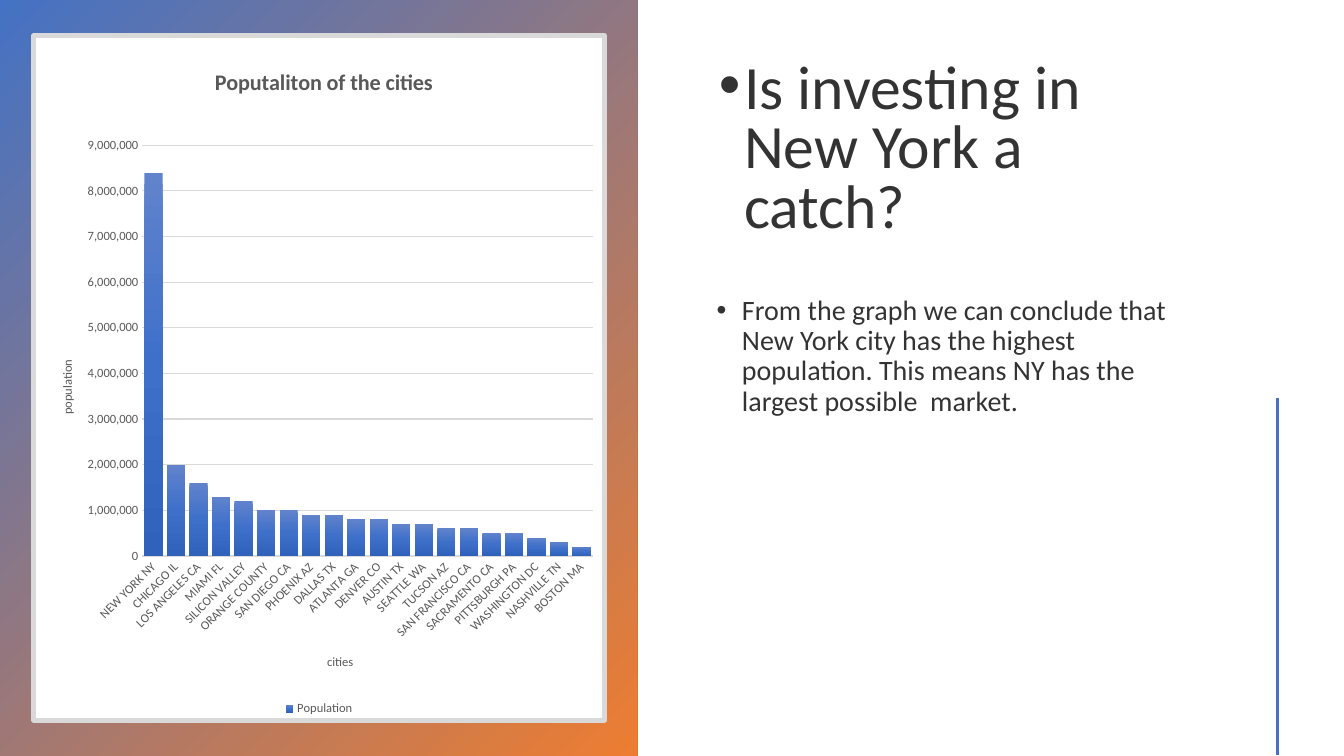
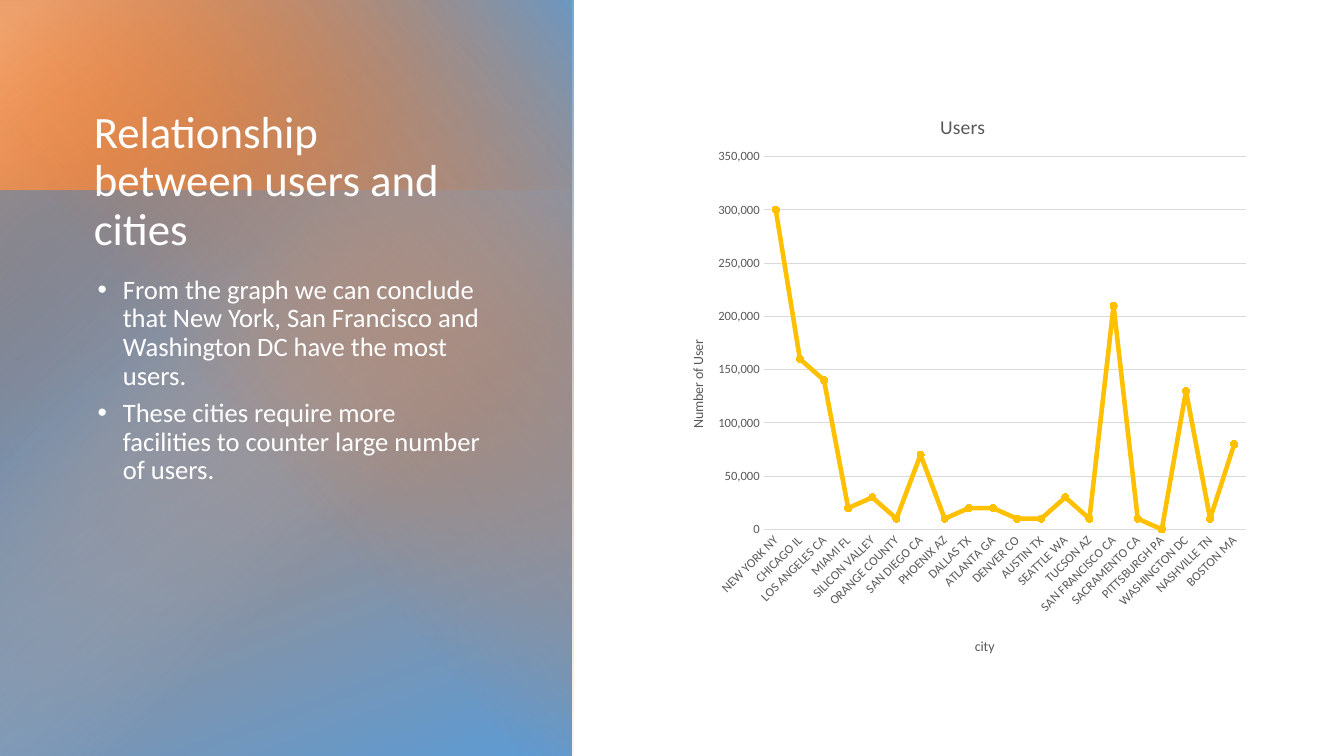
import dataclasses
import typing

import pptx
import pptx.chart.data
import pptx.dml.color
import pptx.enum.chart
import pptx.enum.shapes
import pptx.enum.text
import pptx.oxml
import pptx.oxml.ns
import pptx.util

Inches = pptx.util.Inches
Pt = pptx.util.Pt
qn = pptx.oxml.ns.qn
KIND = pptx.enum.chart.XL_CHART_TYPE

# Shared look
FONT = "Calibri"
BLUE, ORANGE, SKY, GOLD = "4472C4", "ED7D31", "5B9BD5", "FFC000"
INK, GREY, PALE, WHITE = "333333", "595959", "D9D9D9", "FFFFFF"

Box = tuple[float, float, float, float]
Spot = tuple[float, float]

CITIES = [
    "NEW YORK NY", "CHICAGO IL", "LOS ANGELES CA", "MIAMI FL", "SILICON VALLEY",
    "ORANGE COUNTY", "SAN DIEGO CA", "PHOENIX AZ", "DALLAS TX", "ATLANTA GA",
    "DENVER CO", "AUSTIN TX", "SEATTLE WA", "TUCSON AZ", "SAN FRANCISCO CA",
    "SACRAMENTO CA", "PITTSBURGH PA", "WASHINGTON DC", "NASHVILLE TN", "BOSTON MA",
]


class Stop(typing.NamedTuple):
    pos: int
    color: str
    alpha: int = 100


@dataclasses.dataclass
class Panel:
    box: Box
    stops: list[Stop]
    angle: int | None  # None gives a circle from the top left corner
    turn: int = 0


@dataclasses.dataclass
class Label:
    text: str
    spot: Spot  # share of the chart's width and height
    size: int
    bold: bool = False


@dataclasses.dataclass
class Graph:
    kind: typing.Any
    box: Box
    name: str
    values: list[int]
    top: int
    step: int
    plot: Box  # share of the chart's width and height
    title: Label
    cat: Label
    val: Label
    base: float  # width of the category axis line


COLUMNS = Graph(
    KIND.COLUMN_CLUSTERED, (0.31, 0.33, 5.71, 6.84), "Population",
    [n * 100_000 for n in (84, 20, 16, 13, 12, 10, 10, 9, 9, 8,
                           8, 7, 7, 6, 6, 5, 5, 4, 3, 2)],
    9_000_000, 1_000_000, (0.19, 0.16, 0.79, 0.6),
    Label("Poputaliton of the cities", (0.31, 0.04), 16, True),
    Label("cities", (0.51, 0.9), 9),
    Label("population", (0.04, 0.47), 9), 1,
)
LINES = Graph(
    KIND.LINE_MARKERS, (6.57, 0.86, 5.91, 5.78), "Users",
    [n * 10_000 for n in (30, 16, 14, 2, 3, 1, 7, 1, 2, 2,
                          1, 1, 3, 1, 21, 1, 0, 13, 1, 8)],
    350_000, 50_000, (0.17, 0.12, 0.81, 0.64),
    Label("Users", (0.46, 0.04), 14),
    Label("city", (0.52, 0.94), 10),
    Label("Number of User", (0.04, 0.43), 10), 0.75,
)

FRAME = Panel((0, 0, 6.32, 7.5), [Stop(0, BLUE), Stop(100, ORANGE)], 45)
LAYERS = [
    Panel((-0.02, 0, 5.69, 7.53), [Stop(7, ORANGE), Stop(100, SKY)], 70),
    Panel((-0.02, 1.89, 5.69, 5.63),
          [Stop(0, "2E75B6"), Stop(60, "9DC3E6", 0)], None, 180),
    Panel((-0.02, 0.01, 4.19, 7.52),
          [Stop(3, "F4B183", 78), Stop(42, ORANGE, 0)], 50),
    Panel((-0.92, 0.91, 7.52, 5.69),
          [Stop(0, SKY, 86), Stop(57, ORANGE, 0)], 230, 270),
]


def paint(color: str) -> pptx.dml.color.RGBColor:
    return pptx.dml.color.RGBColor.from_string(color)


def place(box: Box) -> list[int]:
    return [Inches(n) for n in box]


def node(tag: str, inner: str = "", extra: str = "") -> typing.Any:
    spaces = pptx.oxml.ns.nsdecls("a", "c")
    return pptx.oxml.parse_xml(f"<{tag} {spaces} {extra}>{inner}</{tag}>")


def blend(props: typing.Any, stops: list[Stop], angle: int | None) -> None:
    """Swap the solid fill for a gradient."""
    marks = "".join(
        f'<a:gs pos="{s.pos * 1000}"><a:srgbClr val="{s.color}">'
        f'<a:alpha val="{s.alpha * 1000}"/></a:srgbClr></a:gs>' for s in stops)
    way = (f'<a:lin ang="{angle * 60000}" scaled="0"/>' if angle is not None else
           '<a:path path="circle"><a:fillToRect r="100000" b="100000"/></a:path>')
    new = node("a:gradFill", f"<a:gsLst>{marks}</a:gsLst>{way}", 'rotWithShape="1"')
    props.replace(props.find(qn("a:solidFill")), new)


def style(font: typing.Any, size: float, color: str, bold: bool = False) -> None:
    font.name, font.size, font.bold = FONT, Pt(size), bold
    font.color.rgb = paint(color)


def write(shape: typing.Any, *texts: str, box: Box, size: float, color: str,
          indent: float = 0, space: float = 0.9, low: bool = False) -> None:
    """Place a text shape; an indent turns its paragraphs into bullets."""
    shape.left, shape.top, shape.width, shape.height = place(box)
    frame = shape.text_frame
    frame.word_wrap = True
    frame.auto_size = pptx.enum.text.MSO_AUTO_SIZE.NONE
    anchor = pptx.enum.text.MSO_ANCHOR
    frame.vertical_anchor = anchor.BOTTOM if low else anchor.TOP
    for i, text in enumerate(texts):
        para = frame.add_paragraph() if i else frame.paragraphs[0]
        para.alignment = pptx.enum.text.PP_ALIGN.LEFT
        para.line_spacing = space
        para.space_before, para.space_after = Pt(0), Pt(6)
        run = para.add_run()
        run.text = text
        style(run.font, size, color)
        if indent:
            props = para._p.get_or_add_pPr()
            props.set("marL", str(Inches(indent)))
            props.set("indent", str(Inches(-0.25)))
            props.append(node("a:buFont", extra='typeface="Arial"'))
            props.append(node("a:buChar", extra='char="•"'))


def head(slide: typing.Any, text: str, **form: typing.Any) -> None:
    """Fill the title and bring it to the front."""
    title = slide.shapes.title
    write(title, text, low=True, **form)
    title.element.getparent().append(title.element)


def body(slide: typing.Any, *texts: str, box: Box, **form: typing.Any) -> None:
    write(slide.shapes.add_textbox(*place(box)), *texts, box=box, **form)


def cover(shapes: typing.Any, panel: Panel) -> None:
    kind = pptx.enum.shapes.MSO_SHAPE.RECTANGLE
    shape = shapes.add_shape(kind, *place(panel.box))
    shape.shadow.inherit = False
    shape.rotation = panel.turn
    shape.line.fill.background()
    shape.fill.solid()
    blend(shape.element.spPr, panel.stops, panel.angle)


def layout(spot: tuple[float, ...], inner: bool = False) -> typing.Any:
    parts = '<c:layoutTarget val="inner"/>' if inner else ""
    parts += '<c:xMode val="edge"/><c:yMode val="edge"/>'
    parts += "".join(f'<c:{k} val="{v}"/>' for k, v in zip("xywh", spot))
    return node("c:layout", f"<c:manualLayout>{parts}</c:manualLayout>")


def drop(owner: typing.Any) -> None:
    old = owner.find(qn("c:layout"))
    if old is not None:
        owner.remove(old)


def caption(title: typing.Any, label: Label) -> None:
    para = title.text_frame.paragraphs[0]
    run = para.add_run()
    run.text = label.text
    style(run.font, label.size, GREY, label.bold)
    owner = title._element
    drop(owner)
    owner.find(qn("c:tx")).addnext(layout(label.spot))


def draw(slide: typing.Any, graph: Graph) -> typing.Any:
    """Add a chart with its axes and titles."""
    data = pptx.chart.data.CategoryChartData(number_format="#,##0")
    data.categories = CITIES
    data.add_series(graph.name, graph.values)
    chart = slide.shapes.add_chart(graph.kind, *place(graph.box), data).chart
    style(chart.font, 10, GREY)
    chart.has_legend = False
    chart.has_title = True
    caption(chart.chart_title, graph.title)
    chart.plots[0].vary_by_categories = False

    cat, val = chart.category_axis, chart.value_axis
    for axis, label in ((cat, graph.cat), (val, graph.val)):
        axis.major_tick_mark = pptx.enum.chart.XL_TICK_MARK.NONE
        axis.minor_tick_mark = pptx.enum.chart.XL_TICK_MARK.NONE
        style(axis.tick_labels.font, 9, GREY)
        caption(axis.axis_title, label)
    cat.format.line.color.rgb = paint(PALE)
    cat.format.line.width = Pt(graph.base)
    slant = cat._element.find(qn("c:txPr")).find(qn("a:bodyPr"))
    slant.set("rot", str(-45 * 60000))
    slant.set("vert", "horz")
    val.format.line.fill.background()
    val.minimum_scale, val.maximum_scale = 0, graph.top
    val.major_unit = graph.step
    val.tick_labels.number_format = "#,##0"
    val.tick_labels.number_format_is_linked = False
    val.has_major_gridlines = True
    val.major_gridlines.format.line.color.rgb = paint(PALE)
    val.major_gridlines.format.line.width = Pt(0.75)

    area = chart.element.find(qn("c:chart")).find(qn("c:plotArea"))
    drop(area)
    area.insert(0, layout(graph.plot, inner=True))
    return chart


def people(slide: typing.Any) -> None:
    cover(slide.shapes, FRAME)
    body(slide, "From the graph we can conclude that New York city has the highest "
         "population. This means NY has the largest possible  market.",
         box=(6.99, 2.89, 4.85, 4.06), size=20, color=INK, indent=0.27)

    # Accent line
    ends = [Inches(n) for n in (12.67, 3.95, 12.67, 7.49)]
    line = slide.shapes.add_connector(pptx.enum.shapes.MSO_CONNECTOR.STRAIGHT, *ends)
    line.line.color.rgb = paint(BLUE)
    line.line.width = Pt(2)
    line.element.spPr.append(node("a:effectLst"))

    # Column chart in a pale border
    chart = draw(slide, COLUMNS)
    plot = chart.plots[0]
    plot.gap_width, plot.overlap = 24, -24
    bars = plot.series[0]
    bars.format.fill.solid()
    bars.format.fill.fore_color.rgb = paint(BLUE)
    blend(bars._element.find(qn("c:spPr")),
          [Stop(0, "6183CB"), Stop(50, "3E70CA"), Stop(100, "3062BB")], 90)
    chart.has_legend = True
    chart.legend.position = pptx.enum.chart.XL_LEGEND_POSITION.BOTTOM
    chart.legend.include_in_layout = False
    style(chart.legend.font, 9, GREY)
    solid = '<a:solidFill><a:srgbClr val="{}"/></a:solidFill>'
    edge = f'<a:ln w="{Pt(3.75)}">{solid.format(PALE)}</a:ln>'
    chart.element.find(qn("c:chart")).addnext(
        node("c:spPr", solid.format(WHITE) + edge))

    head(slide, "Is investing in New York a catch?", box=(7.01, 0.55, 4.81, 1.88),
         size=44, color=INK, indent=0.27, space=0.8)


def users(slide: typing.Any) -> None:
    # Layered gradient panel
    group = slide.shapes.add_group_shape()
    for panel in LAYERS:
        cover(group.shapes, panel)
    body(slide, "From the graph we can conclude that New York, San Francisco and "
         "Washington DC have the most users.",
         "These cities require more facilities to counter large number of users.",
         box=(0.83, 2.69, 4.05, 3.85), size=19, color=WHITE, indent=0.29)

    # Line chart
    trend = draw(slide, LINES).plots[0].series[0]
    trend.smooth = False
    trend.format.line.color.rgb = paint(GOLD)
    trend.format.line.width = Pt(3.25)
    mark = trend.marker
    mark.style, mark.size = pptx.enum.chart.XL_MARKER_STYLE.CIRCLE, 5
    mark.format.fill.solid()
    mark.format.fill.fore_color.rgb = paint(GOLD)
    mark.format.line.color.rgb = paint(GOLD)

    head(slide, "Relationship between users and cities",
         box=(0.83, 0.81, 4.05, 1.77), size=32, color=WHITE)


def main() -> None:
    deck = pptx.Presentation()
    deck.slide_width, deck.slide_height = Inches(13.33), Inches(7.5)
    for build in (people, users):
        build(deck.slides.add_slide(deck.slide_layouts[5]))
    deck.save("out.pptx")


if __name__ == "__main__":
    main()
